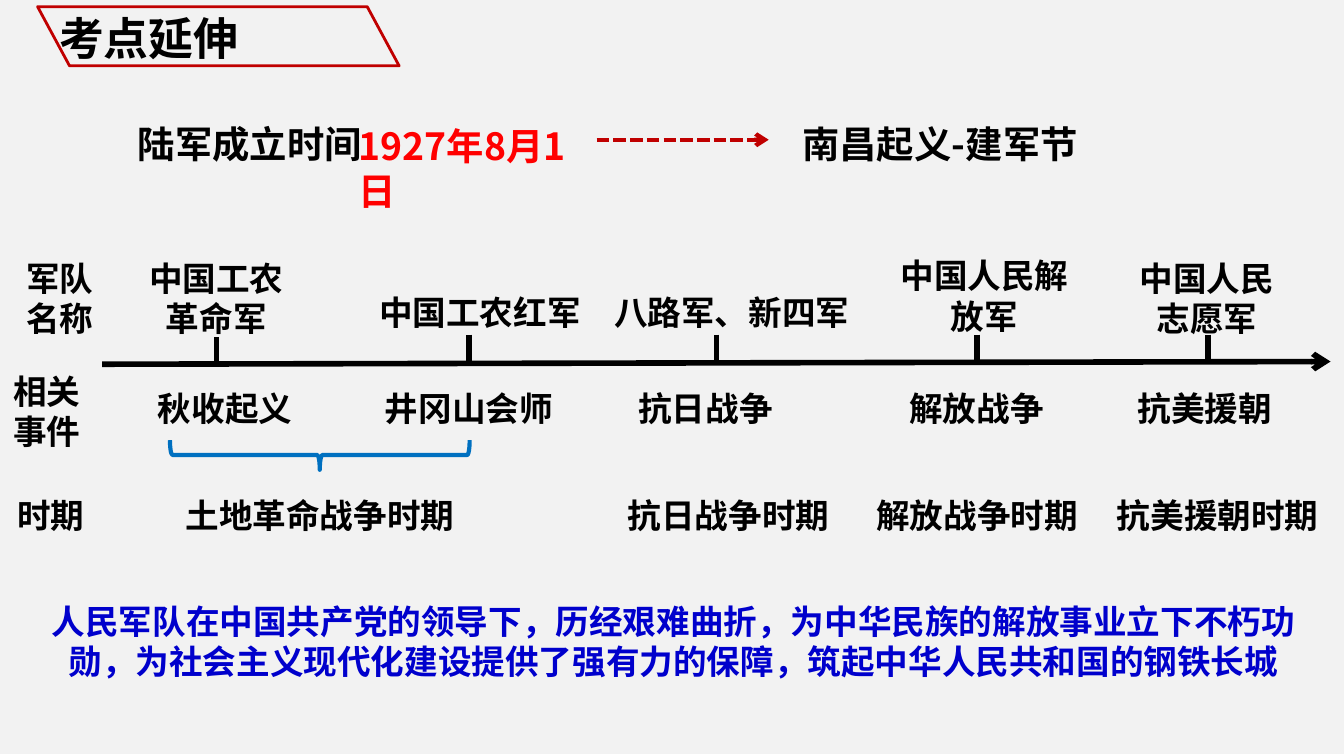
from lxml import etree
from pptx import Presentation
from pptx.dml.color import RGBColor
from pptx.enum import dml, shapes, text
from pptx.oxml import ns
from pptx.util import Inches, Pt

FONT = "Noto Sans CJK SC"
COLORS = {"back": "F2F2F2", "ink": "000000", "frame": "C00000",
          "date": "FF0000", "brace": "0070C0", "summary": "0000CC"}
LEFT, CENTER = text.PP_ALIGN.LEFT, text.PP_ALIGN.CENTER


def rgb(name):
    return RGBColor.from_string(COLORS[name])


def write(frame, words, size=18, color="ink", align=CENTER, wrap=True):
    """Fill a text frame with one bold paragraph."""
    frame.word_wrap = wrap
    frame.auto_size = text.MSO_AUTO_SIZE.NONE
    frame.vertical_anchor = text.MSO_ANCHOR.TOP
    para = frame.paragraphs[0]
    para.text = words
    para.alignment = align
    font = para.font
    font.name, font.size, font.bold = FONT, Pt(size), True
    font.color.rgb = rgb(color)
    for props in para._p.iter(ns.qn("a:defRPr")):
        etree.SubElement(props, ns.qn("a:ea"), typeface=FONT)


def label(page, words, left, top, width, height=0.4, **style):
    box = page.shapes.add_textbox(*map(Inches, (left, top, width, height)))
    write(box.text_frame, words, **style)


def rule(page, start, end, color="ink", weight=3, dash=None, arrow=False):
    line = page.shapes.add_connector(
        shapes.MSO_CONNECTOR.STRAIGHT, *map(Inches, (*start, *end)))
    line.line.color.rgb = rgb(color)
    line.line.width = Pt(weight)
    if dash:
        line.line.dash_style = dash
    if arrow:
        etree.SubElement(line.line._get_or_add_ln(), ns.qn("a:tailEnd"), type="arrow")
    etree.SubElement(line._element.spPr, ns.qn("a:effectLst"))


def outline(page, kind, left, top, width, height, color, weight):
    shape = page.shapes.add_shape(kind, *map(Inches, (left, top, width, height)))
    shape.shadow.inherit = False
    shape.fill.background()
    shape.line.color.rgb = rgb(color)
    shape.line.width = Pt(weight)
    return shape


def heading(page, left, top):
    frame = outline(page, shapes.MSO_SHAPE.PARALLELOGRAM,
                    left, top, 2.69, 0.44, "frame", 1.5)
    frame.adjustments[0] = 0.54
    frame._element.spPr.xfrm.set("flipH", "1")
    title = page.shapes.title
    title.left, title.top = Inches(left + 0.06), Inches(top - 0.02)
    title.width, title.height = Inches(2.47), Inches(0.5)
    write(title.text_frame, "考点延伸", size=24, align=LEFT)


def founding(page, left, top):
    """Founding date, with an arrow to the uprising it marks."""
    label(page, "陆军成立时间", left, top, 1.9, 0.77, size=20, wrap=False)
    label(page, "1927年8月1日", left + 1.66, top + 0.02, 1.9, 0.44,
          size=20, color="date", align=LEFT)
    rule(page, (left + 3.53, top + 0.19), (left + 4.81, top + 0.19), "frame", 2.25,
         dash=dml.MSO_LINE.SQUARE_DOT, arrow=True)
    label(page, "南昌起义-建军节", left + 4.96, top, 2.32, 0.44, size=20, align=LEFT)


def timeline(page, left, top):
    """Army names above the axis; events and periods below it."""
    axis = top + 0.84
    rule(page, (left + 0.76, axis), (left + 9.9, axis - 0.02), arrow=True)
    for x, rise in ((1.61, 0.18), (3.49, 0.2), (5.33, 0.2), (7.27, 0.2), (8.99, 0.2)):
        rule(page, (left + x, axis - 0.02 - rise), (left + x, axis - 0.02))

    label(page, "军队名称", left, top, 0.89, 0.71)
    label(page, "相关事件", left, axis, 0.75, 0.71, align=LEFT)
    label(page, "时期", left + 0.03, top + 1.76, 0.71, align=LEFT, wrap=False)

    for words, x, drop, width in (("中国工农革命军", 0.98, 0, 1.26),
                                  ("中国人民解放军", 6.6, -0.02, 1.45),
                                  ("中国人民志愿军", 8.36, 0, 1.24)):
        label(page, words, left + x, top + drop, width, 0.71)

    rows = (
        (0.25, (("中国工农红军", 2.71, 1.72), ("八路军、新四军", 4.46, 1.97))),
        (0.97, (("秋收起义", 1.07, 1.21), ("井冈山会师", 2.76, 1.46),
                ("抗日战争", 4.57, 1.36), ("解放战争", 6.66, 1.21),
                ("抗美援朝", 8.32, 1.29))),
        (1.76, (("土地革命战争时期", 1.27, 2.22), ("抗日战争时期", 4.56, 1.72),
                ("解放战争时期", 6.41, 1.72), ("抗美援朝时期", 8.2, 1.72))),
    )
    for drop, entries in rows:
        for words, x, width in entries:
            label(page, words, left + x, top + drop, width, wrap=False)

    brace = outline(page, shapes.MSO_SHAPE.LEFT_BRACE,
                    left + 2.27, top + 0.4, 0.22, 2.23, "brace", 2.25)
    brace.rotation = 270


def main():
    deck = Presentation()
    deck.slide_width, deck.slide_height = Inches(10), Inches(5.61)
    page = deck.slides.add_slide(deck.slide_layouts[5])
    page.background.fill.solid()
    page.background.fill.fore_color.rgb = rgb("back")
    heading(page, 0.28, 0.05)
    founding(page, 0.91, 0.85)
    timeline(page, 0, 1.87)
    label(page, "人民军队在中国共产党的领导下，历经艰难曲折，为中华民族的解放事业立下不朽功勋，"
          "为社会主义现代化建设提供了强有力的保障，筑起中华人民共和国的钢铁长城",
          0.19, 4.42, 9.64, 0.71, color="summary")
    deck.save("out.pptx")


if __name__ == "__main__":
    main()
